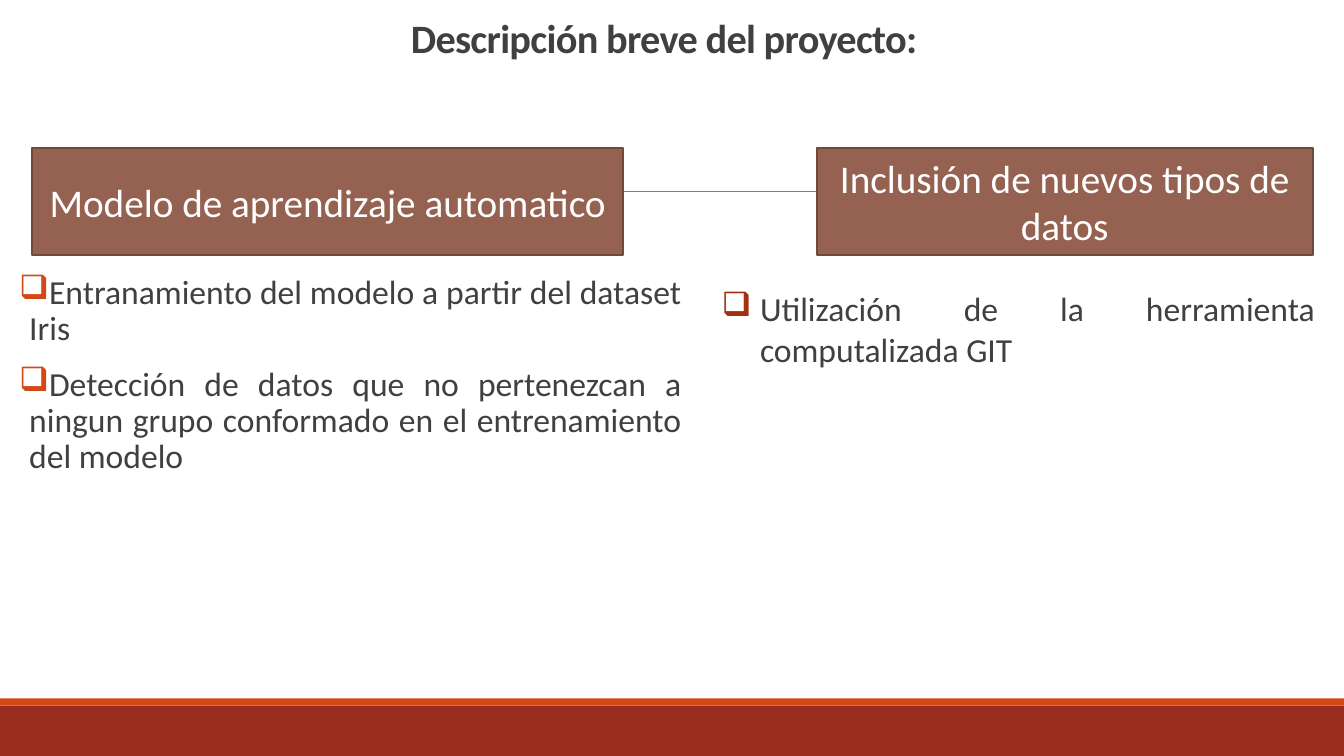
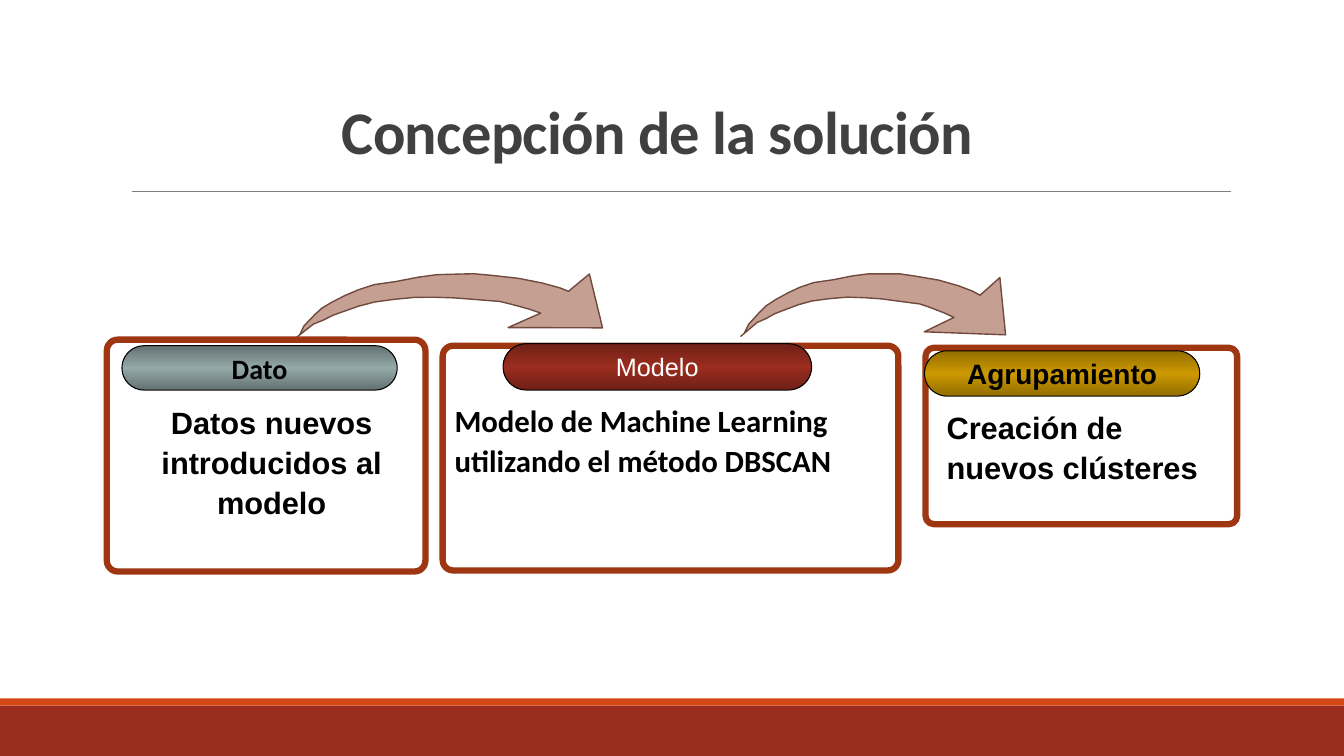
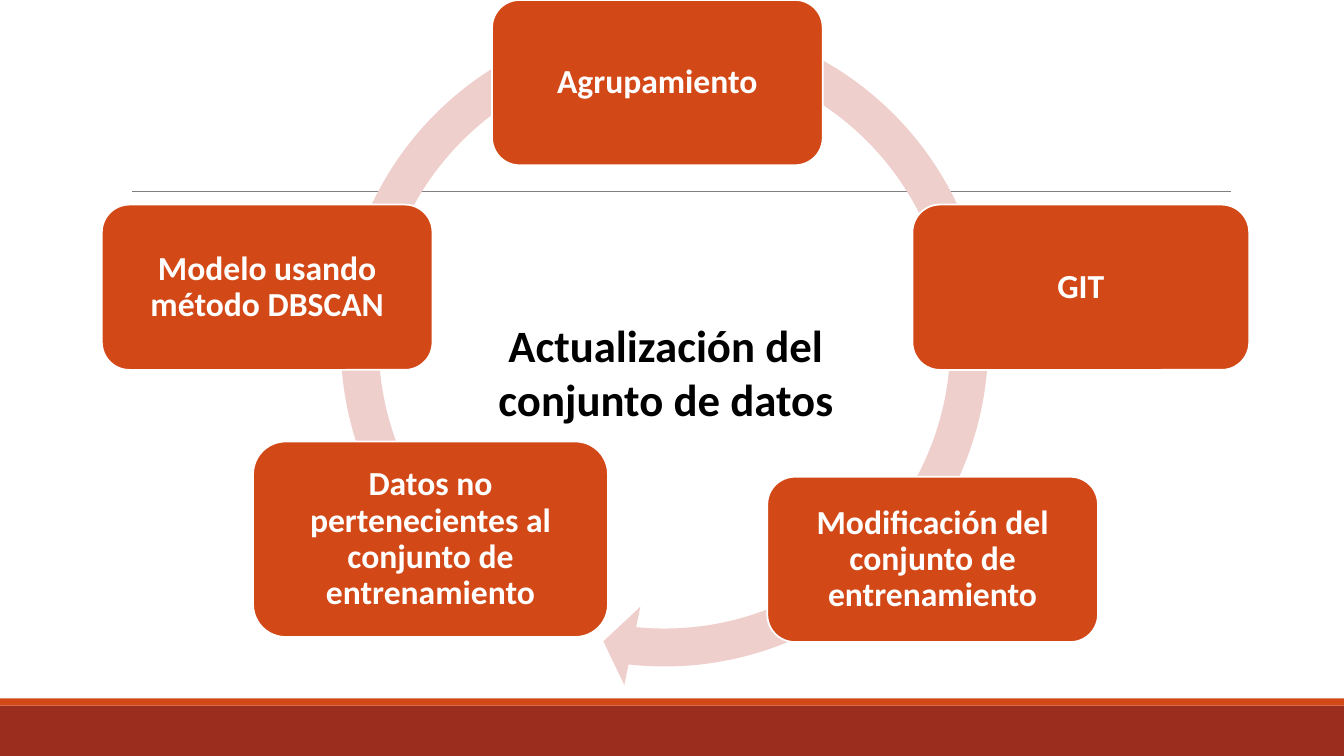
"""Build three slides on a clustering project: description, solution and update cycle."""
from copy import deepcopy

from lxml import etree
from pptx import Presentation
from pptx.dml.color import RGBColor
from pptx.enum.shapes import MSO_CONNECTOR, MSO_SHAPE
from pptx.enum.text import MSO_ANCHOR, MSO_AUTO_SIZE, PP_ALIGN
from pptx.oxml.ns import qn
from pptx.util import Inches, Pt

RECT, ROUND = MSO_SHAPE.RECTANGLE, MSO_SHAPE.ROUNDED_RECTANGLE
RING, STRAIGHT = MSO_SHAPE.CIRCULAR_ARROW, MSO_CONNECTOR.STRAIGHT
TOP, MIDDLE = MSO_ANCHOR.TOP, MSO_ANCHOR.MIDDLE
LEFT, CENTER, JUSTIFY = PP_ALIGN.LEFT, PP_ALIGN.CENTER, PP_ALIGN.JUSTIFY
NO_AUTOFIT = MSO_AUTO_SIZE.NONE

WHITE = RGBColor(0xFF, 0xFF, 0xFF)
BLACK = RGBColor(0x00, 0x00, 0x00)
DARK_GRAY = RGBColor(0x40, 0x40, 0x40)
RULE_GRAY = RGBColor(0x80, 0x80, 0x80)
ORANGE = RGBColor(0xD3, 0x48, 0x17)
DEEP_RED = RGBColor(0x9B, 0x2D, 0x1F)
SHADE_RED = RGBColor(0x6F, 0x20, 0x16)
BULLET_RED = RGBColor(0xA5, 0x30, 0x10)
CARD_RED = RGBColor(0x9E, 0x36, 0x11)
BROWN = RGBColor(0x95, 0x62, 0x51)
BROWN_EDGE = RGBColor(0x6E, 0x49, 0x3C)
TAN = RGBColor(0xC4, 0x9F, 0x92)
TAN_EDGE = RGBColor(0x70, 0x4A, 0x3D)
GOLD = RGBColor(0xCC, 0x99, 0x00)
SHADE_GOLD = RGBColor(0x92, 0x6D, 0x00)
SLATE = RGBColor(0x96, 0xA9, 0xA9)
SHADE_SLATE = RGBColor(0x63, 0x70, 0x70)
PINK = RGBColor(0xEF, 0xCF, 0xCC)


def paint(shape, fill=None, line=None, width=1):
    shape.shadow.inherit = False
    if fill is None:
        shape.fill.background()
    else:
        shape.fill.solid()
        shape.fill.fore_color.rgb = fill
    if line is None:
        shape.line.fill.background()
    else:
        shape.line.color.rgb = line
        shape.line.width = Pt(width)


def write(shape, text, size, color, bold=False, align=CENTER, anchor=MIDDLE, font="Calibri", spacing=1.0):
    frame = shape.text_frame
    frame.text = text
    frame.word_wrap = True
    frame.auto_size = NO_AUTOFIT
    frame.vertical_anchor = anchor
    for paragraph in frame.paragraphs:
        paragraph.alignment = align
        paragraph.line_spacing = spacing
        for run in paragraph.runs:
            run.font.name = font
            run.font.size = Pt(size)
            run.font.bold = bold
            run.font.color.rgb = color


prs = Presentation()
prs.slide_width, prs.slide_height = Inches(13.33), Inches(7.5)
TITLE_ONLY, BLANK = prs.slide_layouts[5], prs.slide_layouts[6]

for layout in (TITLE_ONLY, TITLE_ONLY, BLANK):
    slide = prs.slides.add_slide(layout)
    for top, height, color in ((7, 0.5, DEEP_RED), (6.93, 0.07, ORANGE)):
        band = slide.shapes.add_shape(RECT, 0, Inches(top), prs.slide_width, Inches(height))
        paint(band, color)
    rule = slide.shapes.add_connector(STRAIGHT, Inches(1.31), Inches(1.9), Inches(12.21), Inches(1.9))
    rule.line.color.rgb = RULE_GRAY
    rule.line.width = Pt(0.5)
    etree.SubElement(rule._element.spPr, qn("a:effectLst"))

description, solution, cycle = prs.slides

for slide, text, size, box in (
    (description, "Descripción breve del proyecto:", 28.8, (1.44, 0.15, 10.29, 0.94)),
    (solution, "Concepción de la solución", 43.2, (1.02, 0.99, 11, 1.59)),
):
    title = slide.shapes.title
    title.left, title.top, title.width, title.height = map(Inches, box)
    write(title, text, size, DARK_GRAY, True, anchor=TOP, spacing=0.85)
    title.text_frame.paragraphs[0].runs[0].font._element.set("spc", "-50")

# Slide 1
for left, width, heading in (
    (0.32, 5.86, "Modelo de aprendizaje automatico"),
    (8.1, 4.92, "Inclusión de nuevos tipos de datos"),
):
    heading_box = description.shapes.add_shape(RECT, Inches(left), Inches(1.47), Inches(width), Inches(1.06))
    paint(heading_box, BROWN, BROWN_EDGE, 1.25)
    write(heading_box, heading, 28, WHITE)

for box, side_inset, indent, spacing, before, after, bullet_color, points in (
    ((0.19, 2.68, 6.57, 4.59), 0, 0.1, 0.9, 12, 2, ORANGE,
     "Entranamiento del modelo a partir del dataset Iris\n"
     "Detección de datos que no pertenezcan a ningun grupo conformado en el entrenamiento del modelo"),
    ((7.06, 2.81, 6.08, 1.45), 0.1, 0.38, 1.0, 10, 0, BULLET_RED,
     "Utilización de la herramienta computalizada GIT"),
):
    point_list = description.shapes.add_textbox(*map(Inches, box))
    write(point_list, points, 24, DARK_GRAY, align=JUSTIFY, anchor=TOP, spacing=spacing)
    point_list.text_frame.margin_left = point_list.text_frame.margin_right = Inches(side_inset)
    for paragraph in point_list.text_frame.paragraphs:
        paragraph.space_before, paragraph.space_after = Pt(before), Pt(after)
        properties = paragraph._p.get_or_add_pPr()
        properties.set("marL", str(Inches(indent)))
        properties.set("indent", str(-Inches(indent)))
        bullet_fill = etree.SubElement(properties, qn("a:buClr"))
        etree.SubElement(bullet_fill, qn("a:srgbClr"), val=str(bullet_color))
        etree.SubElement(properties, qn("a:buChar"), char="❑")

# Slide 2
ARROW_OUTLINE = (
    (0, 1), (0.02, 0.94), (0.05, 0.85), (0.08, 0.8), (0.11, 0.74), (0.15, 0.68),
    (0.19, 0.62), (0.24, 0.56), (0.3, 0.51), (0.37, 0.46), (0.44, 0.43), (0.5, 0.41),
    (0.55, 0.4), (0.6, 0.39), (0.65, 0.38), (0.69, 0.39), (0.75, 0.41), (0.79, 0.43),
    (0.69, 0.61), (1, 0.48), (0.93, 0), (0.87, 0.19), (0.84, 0.17), (0.78, 0.15),
    (0.7, 0.14), (0.61, 0.15), (0.55, 0.16), (0.49, 0.19), (0.43, 0.22), (0.37, 0.27),
    (0.3, 0.34), (0.23, 0.4), (0.18, 0.47), (0.14, 0.54), (0.1, 0.62), (0.07, 0.69),
    (0.05, 0.76), (0.02, 0.88), (0.01, 0.97),
)
for left, top, width, height, angle in ((3, 2.52, 2.99, 1.06, 8.6), (7.44, 2.5, 2.56, 1.13, 12.6)):
    outline = [(Inches(left + x * width), Inches(top + y * height)) for x, y in ARROW_OUTLINE]
    builder = solution.shapes.build_freeform(*outline[0])
    builder.add_line_segments(outline[1:])
    arrow = builder.convert_to_shape()
    arrow.rotation = angle
    paint(arrow, TAN, TAN_EDGE)

for card_box, pill_box, shade, tint, label, label_style, text_box, text, text_style in (
    ((1.06, 3.37, 3.16, 2.3), (1.21, 3.43, 2.73, 0.44), SHADE_SLATE, SLATE,
     "Dato", (20, BLACK, True, CENTER, MIDDLE, "Calibri"),
     (1.06, 3.93, 3.27, 1.29), "Datos nuevos introducidos al modelo", (CENTER, TOP, "Arial")),
    ((4.39, 3.43, 4.52, 2.23), (4.99, 3.41, 3.06, 0.46), SHADE_RED, DEEP_RED,
     "Modelo", (18, WHITE, False, CENTER, MIDDLE, "Arial"),
     (4.41, 3.91, 4.68, 0.9), "Modelo de Machine Learning utilizando el método DBSCAN", (LEFT, TOP, "Calibri")),
    ((9.18, 3.45, 3.09, 1.75), (9.17, 3.48, 2.73, 0.45), SHADE_GOLD, GOLD,
     "Agrupamiento", (20, BLACK, True, CENTER, MIDDLE, "Arial"),
     (9.29, 3.98, 2.92, 0.87), "Creación de nuevos clústeres", (LEFT, TOP, "Arial")),
):
    card = solution.shapes.add_shape(ROUND, *map(Inches, card_box))
    card.adjustments[0] = 0.047
    paint(card, line=CARD_RED, width=4.5)

    pill = solution.shapes.add_shape(ROUND, *map(Inches, pill_box))
    pill.adjustments[0] = 0.5
    paint(pill, tint, BLACK, 0.75)
    pill.fill.gradient()
    pill.fill.gradient_angle = 90
    stop_list = pill._element.spPr.find(".//" + qn("a:gsLst"))
    stop_list.append(deepcopy(stop_list[0]))
    for stop, position, color in zip(pill.fill.gradient_stops, (0, 0.5, 1), (shade, tint, shade)):
        stop.position = position
        stop.color.rgb = color
    write(pill, label, *label_style)

    explanation = solution.shapes.add_textbox(*map(Inches, text_box))
    write(explanation, text, 22, BLACK, True, *text_style, spacing=1.08)

# Slide 3
ring = cycle.shapes.add_shape(RING, Inches(3.17), Inches(-0.02), Inches(6.84), Inches(6.84))
for index, value in enumerate((0.055, 3.307, 137.185, 174.21, 0.058)):
    ring.adjustments[index] = value
ring.rotation = 227.4
paint(ring, PINK)

for left, top, width, height, step in (
    (4.88, 0, 3.28, 1.64, "Agrupamiento"),
    (9.05, 2.03, 3.34, 1.64, "GIT"),
    (7.61, 4.73, 3.28, 1.64, "Modificación del conjunto de entrenamiento"),
    (2.51, 4.38, 3.52, 1.94, "Datos no pertenecientes al conjunto de entrenamiento"),
    (1.01, 2.03, 3.28, 1.64, "Modelo usando método DBSCAN"),
):
    step_box = cycle.shapes.add_shape(ROUND, Inches(left), Inches(top), Inches(width), Inches(height))
    paint(step_box, ORANGE, WHITE, 1.25)
    write(step_box, step, 24, WHITE, True, spacing=0.9)

goal = cycle.shapes.add_textbox(Inches(4.67), Inches(3.1), Inches(3.87), Inches(1.18))
write(goal, "Actualización del conjunto de datos", 32, BLACK, True, anchor=TOP)

prs.save("out.pptx")
